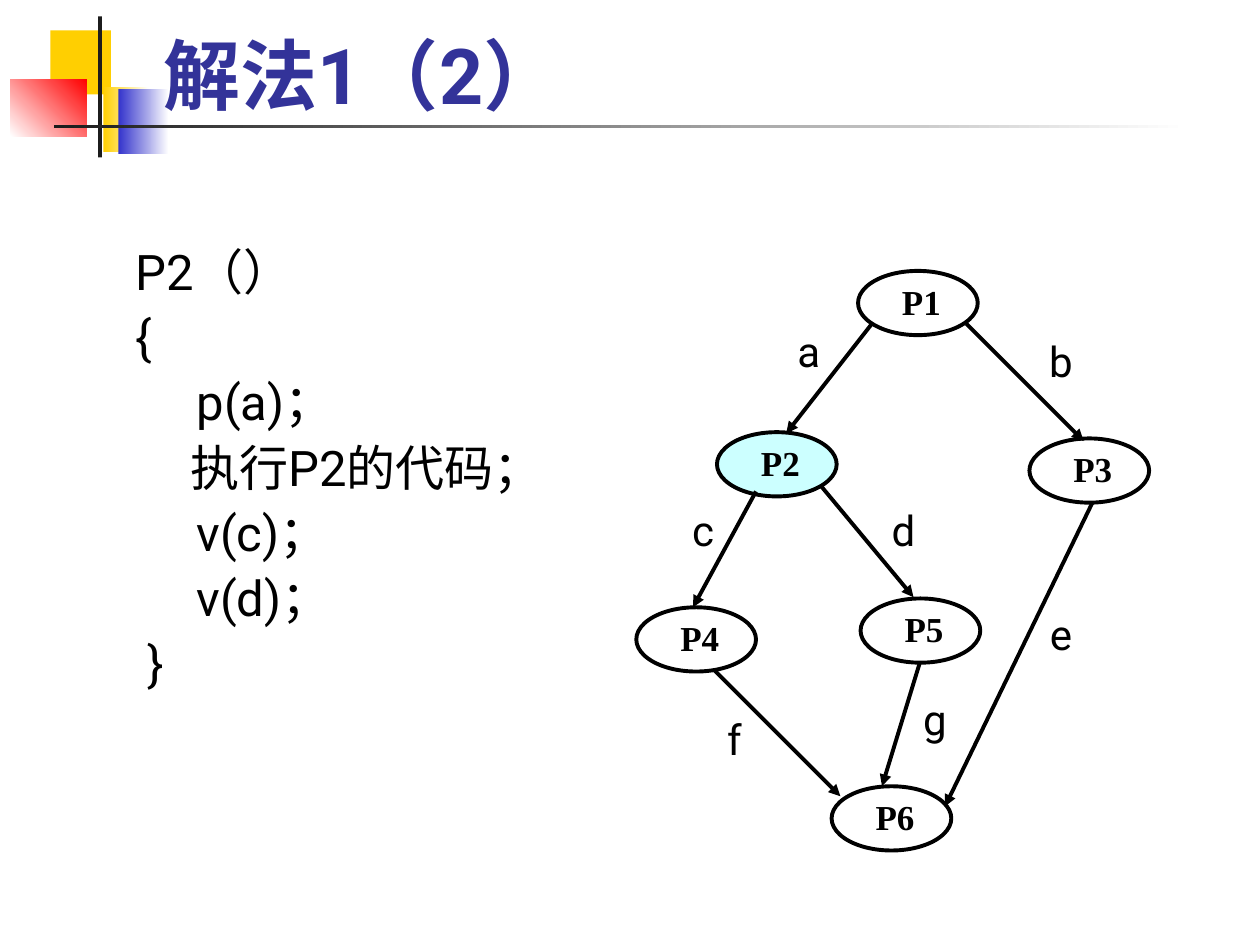
from lxml import etree
from pptx import Presentation
from pptx.dml.color import RGBColor
from pptx.enum.shapes import MSO_CONNECTOR, MSO_SHAPE
from pptx.enum.text import MSO_ANCHOR, PP_ALIGN
from pptx.oxml.ns import qn
from pptx.util import Inches, Pt

RECTANGLE = MSO_SHAPE.RECTANGLE
OVAL = MSO_SHAPE.OVAL
STRAIGHT = MSO_CONNECTOR.STRAIGHT
TOP, MIDDLE, BOTTOM = MSO_ANCHOR.TOP, MSO_ANCHOR.MIDDLE, MSO_ANCHOR.BOTTOM
LEFT, CENTER, JUSTIFY = PP_ALIGN.LEFT, PP_ALIGN.CENTER, PP_ALIGN.JUSTIFY

BLACK, WHITE, INK = "000000", "FFFFFF", "1C1C1C"
YELLOW, BLUE, RED = "FFCF01", "3333CC", "FF0000"
NAVY, CYAN = "333399", "CCFFFF"
SANS, SERIF = "Roboto", "Times New Roman"

DECORATION = [
    ((0.4, 0.24, 0.48, 0.51), [YELLOW], 0),
    ((0.82, 0.69, 0.36, 0.52), [YELLOW, WHITE], 0),
    ((0.94, 0.71, 0.4, 0.51), [BLUE, WHITE], 0),
    ((0.08, 0.63, 0.61, 0.45), [WHITE, RED], 45),
    ((0.78, 0.13, 0.03, 1.12), [INK], 0),
    ((0.43, 0.99, 9, 0.03), [INK, WHITE], 0),
]

TITLE = "解法1（2）"
CODE = [
    "P2（）",
    "{",
    "     p(a)；",
    "     执行P2的代码；",
    "     v(c)；",
    "     v(d)；",
    " }",
]

NODE_SIZE = (0.95, 0.51)
NODES = [
    ("P1", 6.81, 2.15, WHITE),
    ("P2", 5.69, 3.43, CYAN),
    ("P3", 8.17, 3.48, WHITE),
    ("P4", 5.05, 4.82, WHITE),
    ("P5", 6.83, 4.75, WHITE),
    ("P6", 6.6, 6.24, WHITE),
]

LABEL_SIZE = (0.5, 0.42)
EDGES = [
    ("a", (6.92, 2.57), (6.24, 3.44), (6.17, 2.57)),
    ("b", (7.67, 2.57), (8.6, 3.5), (8.17, 2.65)),
    ("c", (6, 3.9), (5.5, 4.82), (5.33, 3.99)),
    ("d", (6.51, 3.85), (7.25, 4.74), (6.92, 3.99)),
    ("e", (8.67, 3.99), (7.5, 6.4), (8.17, 4.82)),
    ("f", (5.67, 5.32), (6.67, 6.32), (5.58, 5.65)),
    ("g", (7.3, 5.26), (7, 6.24), (7.17, 5.49)),
]


def color(value):
    return RGBColor.from_string(value)


def inches(values):
    return [Inches(value) for value in values]


def set_frame(box, anchor, margins=None, wrap=True):
    frame = box.text_frame
    frame.word_wrap = wrap
    frame.vertical_anchor = anchor
    if margins is not None:
        (frame.margin_left, frame.margin_top,
         frame.margin_right, frame.margin_bottom) = inches(margins)
    return frame


def write(para, text, size, font=SANS, tint=BLACK, bold=False, align=LEFT):
    para.alignment = align
    span = para.add_run()
    span.text = text
    span.font.size = Pt(size)
    span.font.name = font
    span.font.bold = bold
    span.font.color.rgb = color(tint)


def add_block(page, place, colors, angle):
    block = page.shapes.add_shape(RECTANGLE, *inches(place))
    block.shadow.inherit = False
    block.line.fill.background()
    if len(colors) == 1:
        block.fill.solid()
        block.fill.fore_color.rgb = color(colors[0])
        return
    block.fill.gradient()
    block.fill.gradient_angle = angle
    for stop, tint in zip(block.fill.gradient_stops, colors):
        stop.color.rgb = color(tint)


def add_title(page):
    box = page.shapes.add_textbox(*inches((1.2, 0.17, 8.52, 0.83)))
    frame = set_frame(box, BOTTOM)
    write(frame.paragraphs[0], TITLE, 44, tint=NAVY, bold=True)


def add_code(page):
    box = page.shapes.add_textbox(*inches((0.98, 1.92, 3.68, 3.88)))
    frame = set_frame(box, TOP)
    for index, text in enumerate(CODE):
        para = frame.add_paragraph() if index else frame.paragraphs[0]
        if index:
            para.space_before = Pt(7)
        para.line_spacing = 0.9
        write(para, text, 28, align=JUSTIFY)


def add_node(page, name, left, top, tint):
    node = page.shapes.add_shape(OVAL, *inches((left, top, *NODE_SIZE)))
    node.shadow.inherit = False
    node.fill.solid()
    node.fill.fore_color.rgb = color(tint)
    node.line.color.rgb = color(BLACK)
    node.line.width = Pt(2.25)
    frame = set_frame(node, TOP, (0.21, 0, 0, 0))
    write(frame.paragraphs[0], name, 20, SERIF, bold=True, align=JUSTIFY)


def add_arrow(page, start, end):
    arrow = page.shapes.add_connector(STRAIGHT, *inches(start + end))
    arrow.line.color.rgb = color(BLACK)
    arrow.line.width = Pt(2.25)
    outline = arrow.line._get_or_add_ln()
    etree.SubElement(outline, qn("a:tailEnd"), type="triangle")
    etree.SubElement(arrow._element.spPr, qn("a:effectLst"))


def add_label(page, text, place):
    box = page.shapes.add_textbox(*inches(place + LABEL_SIZE))
    frame = set_frame(box, MIDDLE, (0, 0, 0, 0), wrap=False)
    write(frame.paragraphs[0], text, 24, align=CENTER)


def main():
    deck = Presentation()
    deck.slide_width, deck.slide_height = inches((10, 7.5))
    page = deck.slides.add_slide(deck.slide_layouts[6])
    for place, colors, angle in DECORATION:
        add_block(page, place, colors, angle)
    add_title(page)
    add_code(page)
    for node in NODES:
        add_node(page, *node)
    for _, start, end, _ in EDGES:
        add_arrow(page, start, end)
    for text, _, _, place in EDGES:
        add_label(page, text, place)
    deck.save("out.pptx")


if __name__ == "__main__":
    main()
